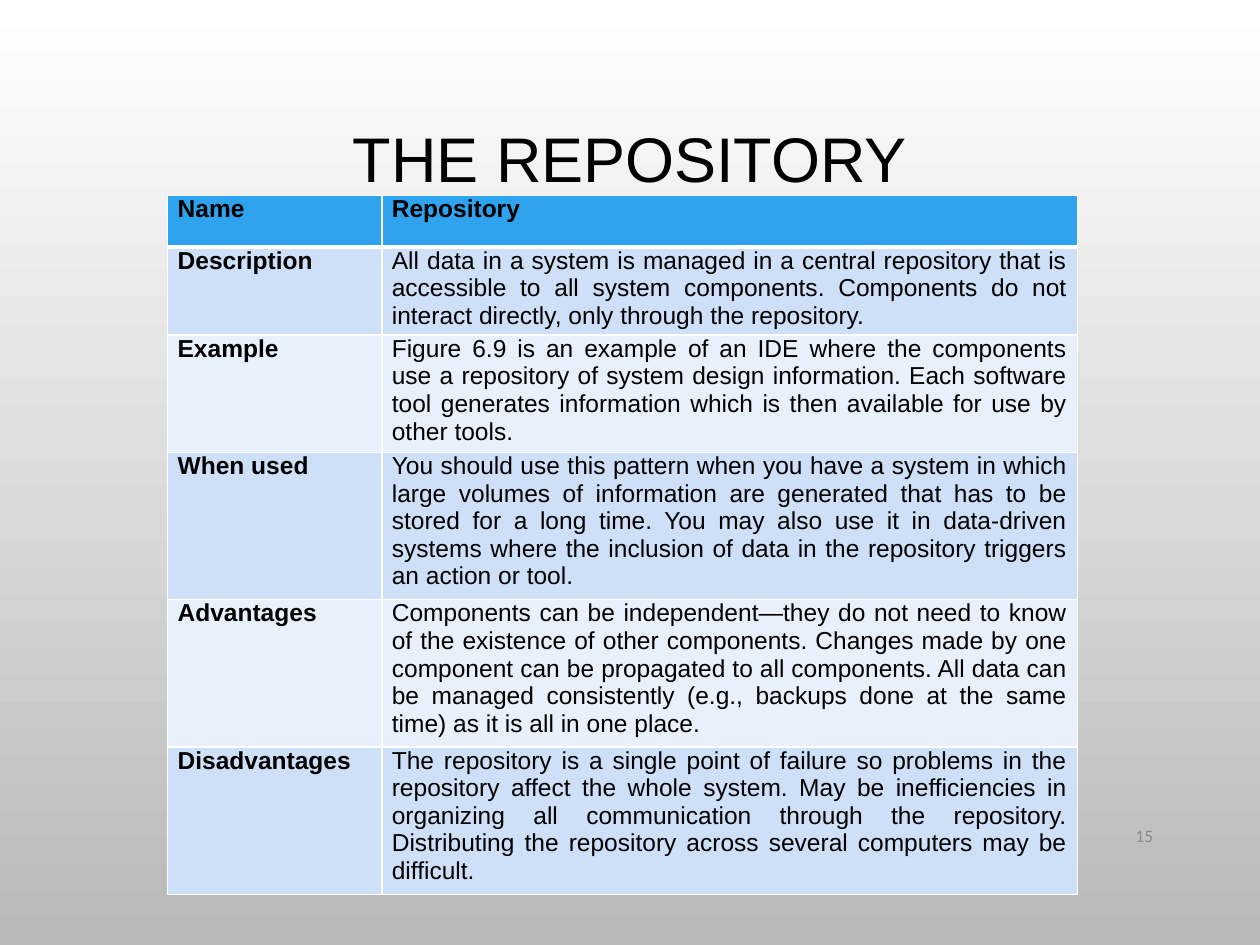
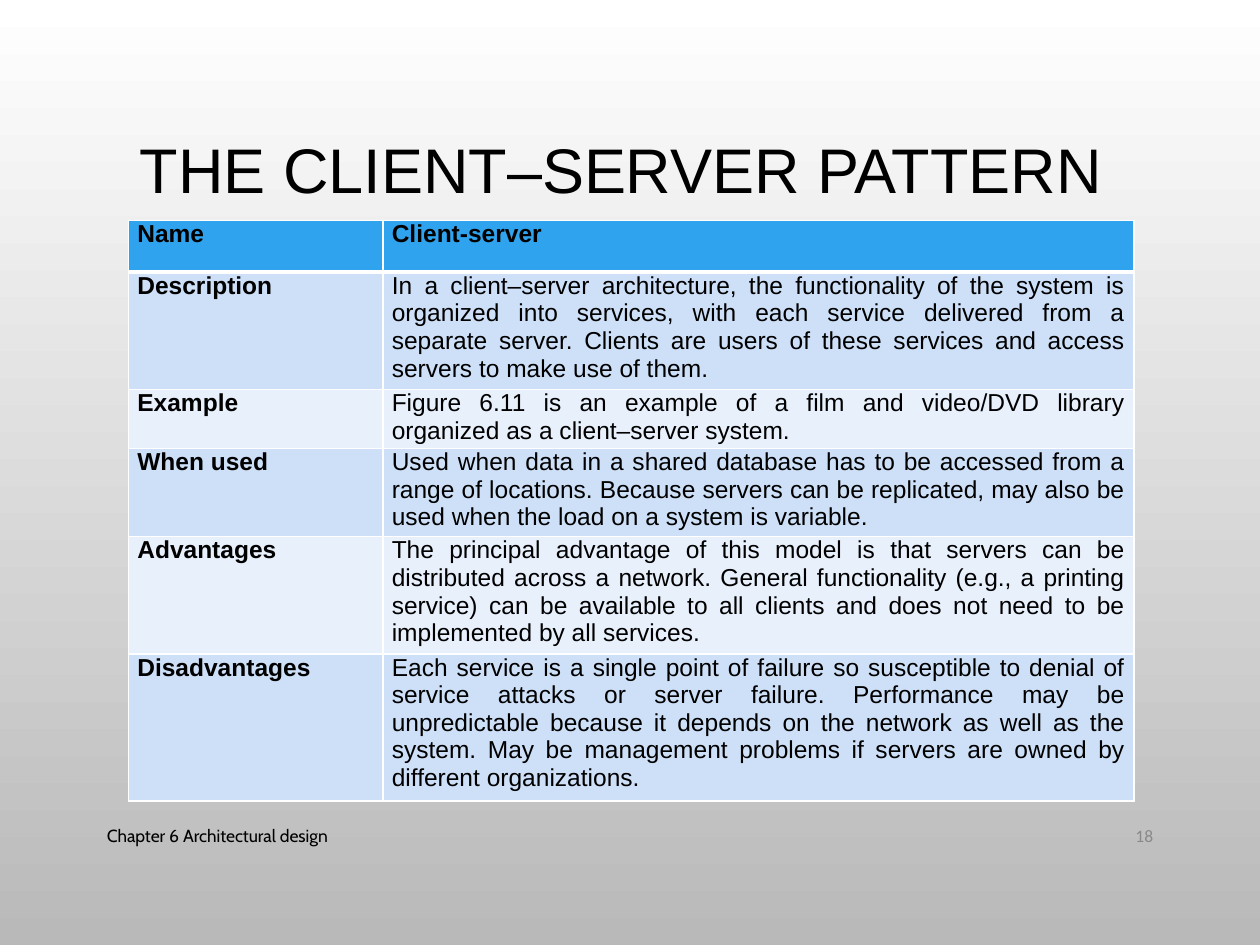
"""Build two slides that describe architecture patterns in tables."""
from lxml import etree
from pptx import Presentation
from pptx.dml.color import RGBColor
from pptx.enum.text import MSO_ANCHOR, MSO_AUTO_SIZE, PP_ALIGN
from pptx.oxml.ns import qn
from pptx.util import Inches, Pt

LEFT, MID, RIGHT, FULL = PP_ALIGN.LEFT, PP_ALIGN.CENTER, PP_ALIGN.RIGHT, PP_ALIGN.JUSTIFY
CENTRE = MSO_ANCHOR.MIDDLE
FIXED = MSO_AUTO_SIZE.NONE

LABELS = ["Name", "Description", "Example", "When used", "Advantages", "Disadvantages"]
SLIDES = [
    {
        "title": "THE REPOSITORY", "spot": (0.75, 0.41),
        "number": "15", "footer": None,
        "place": (1.33, 1.55), "cols": [1.7, 5.52], "inset": 0.08,
        "rows": [0.41, 0.7, 0.93, 1.17, 1.17, 1.17],
        "texts": [
            "Repository",
            "All data in a system is managed in a central repository that is accessible to all "
            "system components. Components do not interact directly, only through the repository.",
            "Figure 6.9 is an example of an IDE where the components use a repository of system "
            "design information. Each software tool generates information which is then "
            "available for use by other tools.",
            "You should use this pattern when you have a system in which large volumes of "
            "information are generated that has to be stored for a long time. You may also use "
            "it in data-driven systems where the inclusion of data in the repository triggers "
            "an action or tool.",
            "Components can be independent—they do not need to know of the existence of other "
            "components. Changes made by one component can be propagated to all components. All "
            "data can be managed consistently (e.g., backups done at the same time) as it is "
            "all in one place.",
            "The repository is a single point of failure so problems in the repository affect "
            "the whole system. May be inefficiencies in organizing all communication through "
            "the repository. Distributing the repository across several computers may be "
            "difficult.",
        ],
    },
    {
        "title": "THE CLIENT–SERVER PATTERN", "spot": (0.68, 0.5),
        "number": "18", "footer": "Chapter 6 Architectural design",
        "place": (1.02, 1.75), "cols": [2.02, 5.96], "inset": 0.07,
        "rows": [0.41, 0.93, 0.47, 0.7, 0.93, 1.17],
        "texts": [
            "Client-server",
            "In a client–server architecture, the functionality of the system is organized into "
            "services, with each service delivered from a separate server. Clients are users of "
            "these services and access servers to make use of them.",
            "Figure 6.11 is an example of a film and video/DVD library organized as a "
            "client–server system.",
            "Used when data in a shared database has to be accessed from a range of locations. "
            "Because servers can be replicated, may also be used when the load on a system is "
            "variable.",
            "The principal advantage of this model is that servers can be distributed across a "
            "network. General functionality (e.g., a printing service) can be available to all "
            "clients and does not need to be implemented by all services.",
            "Each service is a single point of failure so susceptible to denial of service "
            "attacks or server failure. Performance may be unpredictable because it depends on "
            "the network as well as the system. May be management problems if servers are owned "
            "by different organizations.",
        ],
    },
]

HEX = {"ink": "000000", "grey": "898989", "line": "FFFFFF", "head": "2FA3EE",
       "dark": "CDE0F8", "pale": "E8F0FC", "sky": "FFFFFF", "base": "B9B9B9"}
FONTS = {
    "title": {"name": "Arial", "size": Pt(36), "bold": False},
    "cell": {"name": "Arial", "size": Pt(14)},
    "number": {"name": "Calibri", "size": Pt(10)},
    "footer": {"name": "Cabin", "size": Pt(10)},
}


def rgb(key):
    return RGBColor.from_string(HEX[key])


def assign(item, values):
    for key, value in values.items():
        setattr(item, key, value)


def write(frame, text, style, align, tone="ink", **extra):
    frame.text = text
    para = frame.paragraphs[0]
    para.alignment = align
    font = para.runs[0].font
    assign(font, {**FONTS[style], **extra})
    font.color.rgb = rgb(tone)
    return para


def add_title(slide, text, spot):
    title = slide.shapes.title
    box = zip(("left", "top", "width", "height"), (*spot, 8.5, 1.75))
    assign(title, {key: Inches(value) for key, value in box})
    assign(title.text_frame, {"word_wrap": True, "auto_size": FIXED, "vertical_anchor": CENTRE})
    write(title.text_frame, text, "title", MID).line_spacing = 0.9


def add_note(slide, text, left, width, style, align, tone):
    box = slide.shapes.add_textbox(*map(Inches, (left, 6.43, width, 0.4)))
    assign(box.text_frame, {"word_wrap": True, "vertical_anchor": CENTRE})
    write(box.text_frame, text, style, align, tone)


def add_edges(cell, row):
    props = cell._tc.get_or_add_tcPr()
    widths = {"L": 1, "R": 1, "T": 3 if row == 1 else 1, "B": 3 if row == 0 else 1}
    for side, width in widths.items():
        line = etree.SubElement(props, qn(f"a:ln{side}"), w=str(Pt(width)))
        fill = etree.SubElement(line, qn("a:solidFill"))
        etree.SubElement(fill, qn("a:srgbClr"), val=HEX["line"])


def add_grid(slide, data):
    rows, cols = data["rows"], data["cols"]
    size = (*data["place"], sum(cols), sum(rows))
    table = slide.shapes.add_table(len(rows), len(cols), *map(Inches, size)).table
    for col, width in zip(table.columns, cols):
        col.width = Inches(width)
    side = Inches(data["inset"])
    for r, pair in enumerate(zip(LABELS, data["texts"])):
        table.rows[r].height = Inches(rows[r])
        tone = "head" if r == 0 else "dark" if r % 2 else "pale"
        for c, text in enumerate(pair):
            cell = table.cell(r, c)
            assign(cell, {"margin_left": side, "margin_right": side,
                          "margin_top": 0, "margin_bottom": 0})
            add_edges(cell, r)
            cell.fill.solid()
            cell.fill.fore_color.rgb = rgb(tone)
            write(cell.text_frame, text, "cell", FULL, bold=r == 0 or c == 0)


def main():
    prs = Presentation()
    assign(prs, {"slide_width": Inches(10), "slide_height": Inches(7.5)})
    back = prs.slide_master.background.fill
    back.gradient()
    back.gradient_angle = 270
    for stop, key in zip(back.gradient_stops, ("sky", "base")):
        stop.color.rgb = rgb(key)
    for data in SLIDES:
        slide = prs.slides.add_slide(prs.slide_layouts[5])
        add_title(slide, data["title"], data["spot"])
        add_grid(slide, data)
        add_note(slide, data["number"], 8.62, 0.63, "number", RIGHT, "grey")
        if data["footer"]:
            add_note(slide, data["footer"], 0.75, 5.47, "footer", LEFT, "ink")
    prs.save("out.pptx")


if __name__ == "__main__":
    main()
